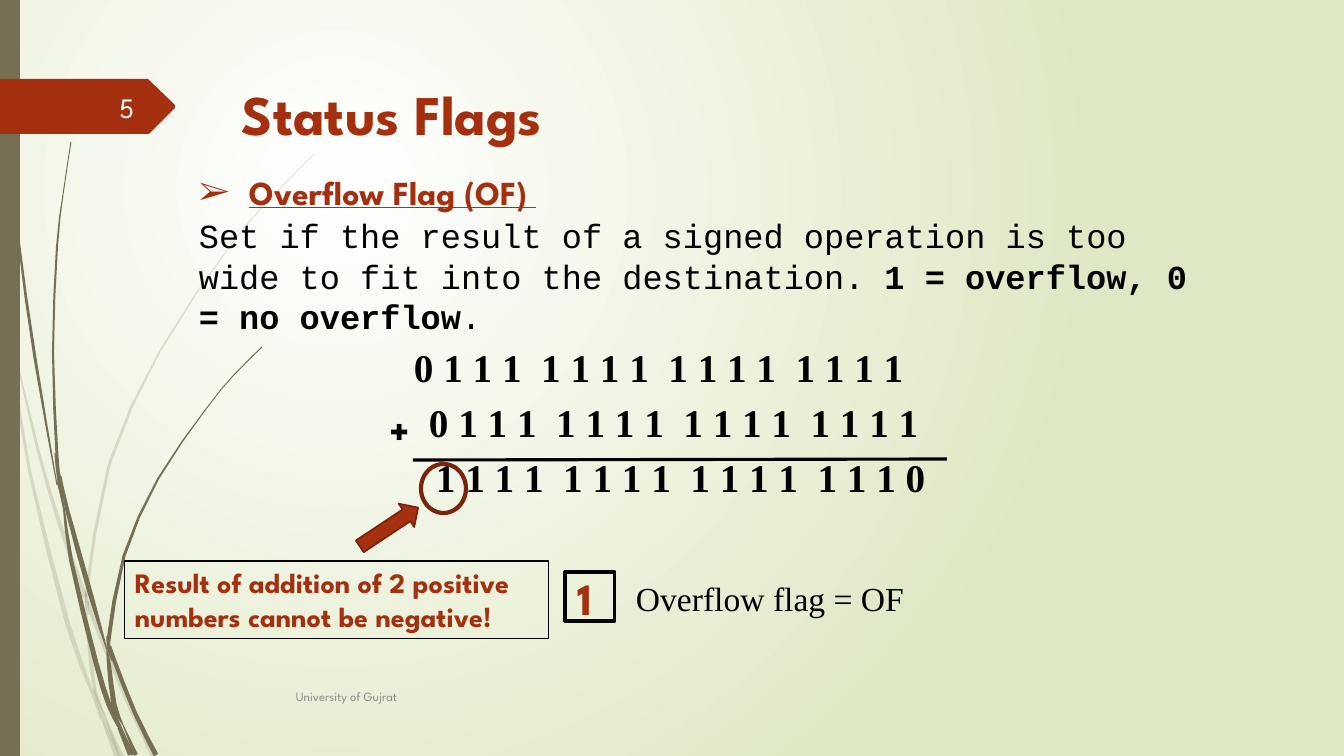
from math import hypot

from pptx import Presentation
from pptx.dml.color import RGBColor
from pptx.enum.shapes import MSO_CONNECTOR, MSO_SHAPE
from pptx.enum.text import MSO_ANCHOR, PP_ALIGN
from pptx.oxml.ns import qn
from pptx.util import Pt
from lxml.etree import SubElement

PX = 914400 / 100.8
WIDE, HIGH = 1344, 756
RED = RGBColor(0xA5, 0x30, 0x10)
DARK = RGBColor(0x7A, 0x24, 0x0C)
BROWN = RGBColor(0x76, 0x6F, 0x54)
GREY = RGBColor(0x8C, 0x8C, 0x8C)
BLACK = RGBColor(0, 0, 0)
WHITE = RGBColor(0xFE, 0xFF, 0xFF)
GLOW = RGBColor(0xFF, 0xFF, 0xFF)
GREEN = RGBColor(0xDF, 0xE8, 0xC4)
HEAD, MONO, SERIF = "League Spartan", "Courier New", "Times New Roman"

# Content
TITLE = "Status Flags"
TOPIC = "Overflow Flag (OF) "
RULE = [
    ("Set if the result of a signed operation is too wide to fit into the destination. ", False),
    ("1 = overflow, 0 = no overflow", True),
    (".", False),
]
SUM = [  # bits, left indent
    ("0 1 1 1  1 1 1 1  1 1 1 1  1 1 1 1", 0),
    ("0 1 1 1  1 1 1 1  1 1 1 1  1 1 1 1", 15),
    ("1 1 1 1  1 1 1 1  1 1 1 1  1 1 1 0", 22),
]
NOTE = "Result of addition of 2 positive numbers cannot be negative!"

# Grass blades: points along the middle as x, y, width
PALE = [
    [(2, 287, 4), (6, 318, 4), (11, 353, 1)],
    [(14, 348, 1), (38, 450, 3), (60, 525, 4), (85, 597, 5)],
    [(89, 601, 1), (91, 613, 4), (126, 698, 4), (154, 757, 5)],
    [(106, 717, 1), (113, 737, 3), (122, 757, 5)],
    [(11, 353, 1), (15, 379, 3), (30, 473, 3), (68, 625, 5), (93, 694, 3), (101, 720, 1)],
    [(85, 604, 1), (90, 651, 4), (95, 691, 3), (106, 717, 1)],
    [(314, 154, 1), (270, 199, 1), (230, 246, 1), (160, 351, 2), (109, 465, 3),
     (87, 589, 3), (87, 601, 2)],
    [(102, 720, 1), (117, 757, 5)],
    [(85, 591, 1), (87, 603, 4), (88, 615, 1)],
    [(94, 689, 1), (103, 717, 4), (120, 757, 1)],
]
DEEP = [
    [(4, 0, 1), (5, 48, 1), (8, 111, 1), (18, 235, 2), (35, 358, 3), (57, 485, 1)],
    [(61, 476, 1), (67, 509, 4), (91, 596, 5), (107, 650, 1)],
    [(111, 646, 1), (113, 657, 4), (135, 713, 4), (156, 755, 5)],
    [(57, 481, 1), (64, 509, 2), (71, 560, 4), (96, 663, 5), (109, 705, 5), (118, 727, 1)],
    [(71, 142, 1), (63, 195, 1), (57, 247, 2), (53, 352, 2), (57, 455, 3), (60, 476, 1)],
    [(123, 725, 1), (136, 755, 4)],
    [(55, 453, 1), (59, 478, 4), (64, 509, 1)],
    [(262, 347, 1), (233, 376, 1), (206, 409, 1), (158, 479, 2), (124, 556, 3),
     (109, 637, 4), (110, 646, 1)],
    [(118, 728, 1), (130, 755, 4)],
    [(107, 650, 1), (109, 665, 4), (114, 704, 5), (123, 725, 1)],
    [(107, 636, 1), (109, 648, 4), (112, 661, 1)],
    [(111, 697, 1), (116, 719, 4), (133, 755, 3)],
]
BANNER = [(0, 79), (148, 79), (175, 105), (175, 108), (149, 134), (0, 134)]

deck = Presentation()
deck.slide_width, deck.slide_height = round(WIDE * PX), round(HIGH * PX)
slide = deck.slides.add_slide(deck.slide_layouts[6])
shapes = slide.shapes


def emu(*nums):
    return [round(n * PX) for n in nums]


def paint(shape, fill=None, line=None, weight=1):
    shape.shadow.inherit = False
    if fill is None:
        shape.fill.background()
    else:
        shape.fill.solid()
        shape.fill.fore_color.rgb = fill
    if line is None:
        shape.line.fill.background()
    else:
        shape.line.color.rgb = line
        shape.line.width = Pt(weight)
    return shape


def add(kind, box, **look):
    return paint(shapes.add_shape(kind, *emu(*box)), **look)


def trace(points, fill):
    spots = [emu(*p) for p in points]
    pen = shapes.build_freeform(*spots[0])
    pen.add_line_segments(spots[1:], close=True)
    return paint(pen.convert_to_shape(), fill)


def curve(knots, steps=2):
    """Smooth curve through the knots, with its width."""
    ends = [knots[0], *knots, knots[-1]]
    for a, b, c, d in zip(ends, ends[1:], ends[2:], ends[3:]):
        for i in range(steps):
            t = i / steps
            yield [(2 * q + (r - p) * t + (2 * p - 5 * q + 4 * r - s) * t ** 2
                    + (3 * q - p - 3 * r + s) * t ** 3) / 2
                   for p, q, r, s in zip(a, b, c, d)]
    yield knots[-1]


def blade(knots):
    mid = list(curve(knots))
    left, right = [], []
    for i, (x, y, w) in enumerate(mid):
        back, ahead = mid[max(i - 1, 0)], mid[min(i + 1, len(mid) - 1)]
        dx, dy = ahead[0] - back[0], ahead[1] - back[1]
        half = w / 2 / hypot(dx, dy)
        left.append((x - dy * half, y + dx * half))
        right.append((x + dy * half, y - dx * half))
    return trace(left + right[::-1], BROWN)


def style(para, face, size, color, bold=False):
    font = para.font
    font.name, font.size, font.bold = face, Pt(size), bold
    font.color.rgb = color
    return para


def write(frame, text, size, color=RED, face=HEAD, bold=False,
          align=PP_ALIGN.LEFT, anchor=MSO_ANCHOR.TOP):
    frame.word_wrap = True
    frame.vertical_anchor = anchor
    para = style(frame.paragraphs[0], face, size, color, bold)
    para.text, para.alignment = text, align
    return para


def label(box, text, size, **look):
    frame = shapes.add_textbox(*emu(*box)).text_frame
    write(frame, text, size, **look)
    return frame


# Background glow
back = slide.background.fill
back.gradient()
for stop, color in zip(back.gradient_stops, (GLOW, GREEN)):
    stop.color.rgb = color
grad = slide.element.find(".//" + qn("a:gradFill"))
grad.remove(grad.find(qn("a:lin")))
glow = SubElement(grad, qn("a:path"), path="circle")
SubElement(glow, qn("a:fillToRect"), l="50000", t="50000", r="100000", b="100000")

# Grass, side bar and banner
for knots in PALE:
    tint = blade(knots)._element.spPr.find(".//" + qn("a:srgbClr"))
    SubElement(tint, qn("a:alpha"), val="20000")
for knots in DEEP:
    blade(knots)
add(MSO_SHAPE.RECTANGLE, (0, 0, 20, HIGH), fill=BROWN)
trace(BANNER, RED)

# Title, footer and page number
label((232, 75, 983, 141), TITLE, 40, bold=True)
label((286, 677, 840, 40), "University of Gujrat", 9, color=GREY, anchor=MSO_ANCHOR.MIDDLE)
label((58, 87, 86, 40), "5", 20, color=WHITE, align=PP_ALIGN.RIGHT, anchor=MSO_ANCHOR.MIDDLE)

# Binary sum
frame = label((414, 343, 530, 160), SUM[0][0], 28, color=BLACK, face=SERIF, bold=True)
frame.margin_left = frame.margin_top = 0
for bits, indent in SUM[1:]:
    para = style(frame.add_paragraph(), SERIF, 28, BLACK, True)
    para.text, para.space_before = bits, Pt(5.6)
    para._p.get_or_add_pPr().set("marL", str(emu(indent)[0]))
bar = shapes.add_connector(MSO_CONNECTOR.STRAIGHT, *emu(413, 460, 947, 459))
bar.line.color.rgb, bar.line.width = BLACK, Pt(2.25)
SubElement(bar._element.spPr, qn("a:effectLst"))

# Flag box and its name
add(MSO_SHAPE.RECTANGLE, (565, 572, 50, 49), line=BLACK, weight=2.25)
label((626, 573, 324, 50), "Overflow flag = OF", 24, color=BLACK, face=SERIF)

# Sign bit, arrow, flag value and note
arrow = add(MSO_SHAPE.RIGHT_ARROW, (354, 513, 70, 28), fill=RED, line=DARK, weight=1.25)
arrow.rotation = 326.4
add(MSO_SHAPE.OVAL, (421, 464, 45, 49), line=DARK, weight=3)
label((568, 566, 45, 65), "1", 32, bold=True)
note = add(MSO_SHAPE.RECTANGLE, (125, 561, 424, 78), line=BLACK, weight=0.75)
write(note.text_frame, NOTE, 20, bold=True)

# Definition
frame = label((189, 167, 1025, 136), TOPIC, 24, bold=True)
topic = frame.paragraphs[0]
topic.font.underline = True
props = topic._p.get_or_add_pPr()
props.set("marL", str(emu(50)[0]))
props.set("indent", str(emu(-50)[0]))
fonts = props.find(qn("a:defRPr"))
for tag, key, value in (("a:buFont", "typeface", SERIF), ("a:buChar", "char", "➢")):
    mark = SubElement(props, qn(tag))
    mark.set(key, value)
    fonts.addprevious(mark)
rule = style(frame.add_paragraph(), MONO, 24, BLACK)
rule.space_before = Pt(2)
for text, bold in RULE:
    run = rule.add_run()
    run.text, run.font.bold = text, bold

# Plus sign
label((380, 401, 46, 57), "+", 28, color=BLACK, bold=True)

deck.save("out.pptx")
